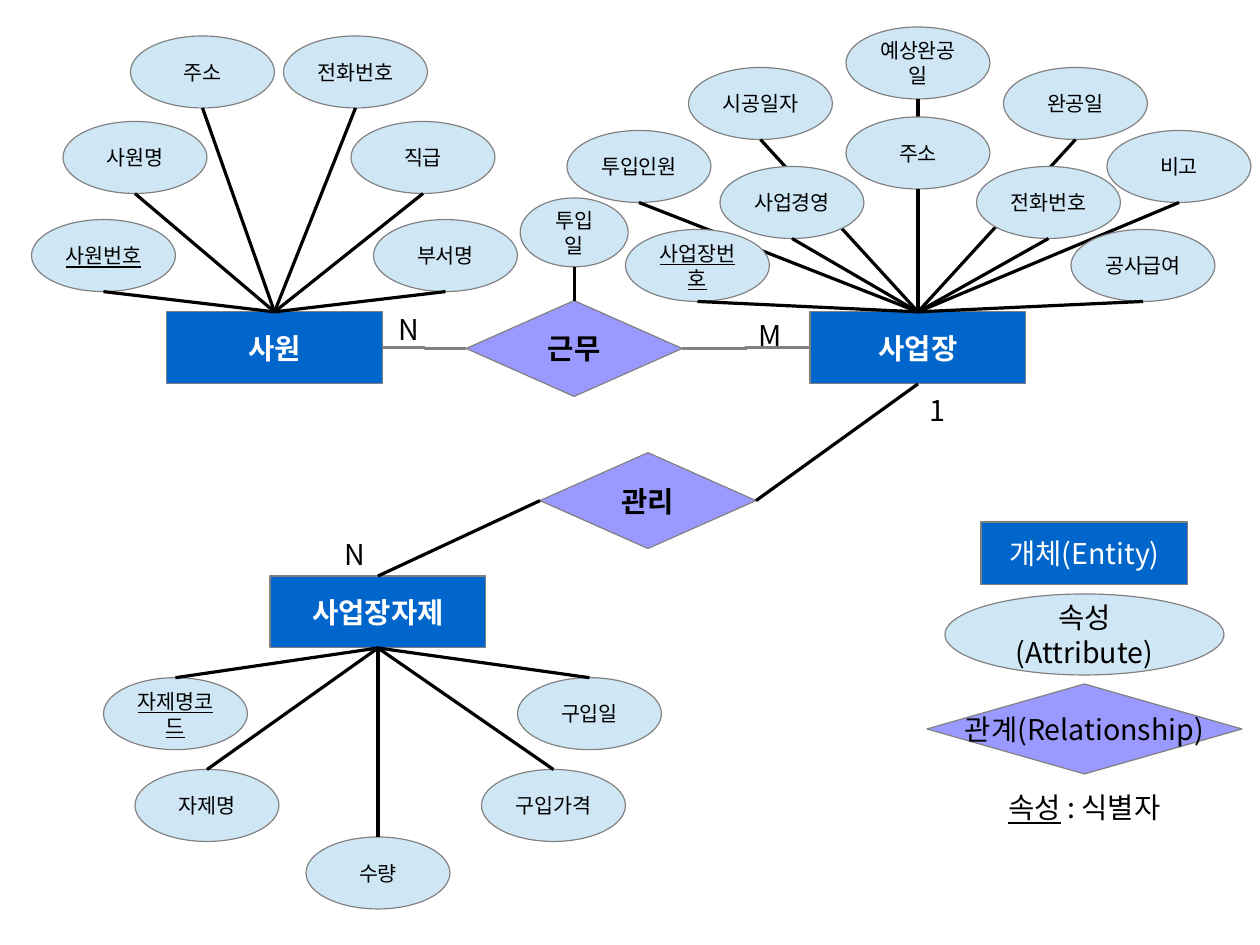
import pptx
import pptx.util
import pptx.dml.color
import pptx.enum.shapes
import pptx.enum.text
import pptx.oxml
import pptx.oxml.ns

Cm = pptx.util.Cm
Kind = pptx.enum.shapes.MSO_SHAPE
Wire = pptx.enum.shapes.MSO_CONNECTOR
Align = pptx.enum.text.PP_ALIGN
Fit = pptx.enum.text.MSO_AUTO_SIZE
Anchor = pptx.enum.text.MSO_ANCHOR

TINT = {"box": "0066CC", "oval": "CFE7F5", "gem": "9999FF",
        "edge": "808080", "ink": "000000", "pale": "FFFFFF"}
PLAIN = {"size": pptx.util.Pt(18)}
BOLD = {**PLAIN, "bold": True}
SMALL = {"size": pptx.util.Pt(13)}
KEY = {"underline": True}


class Chart:
    face = "Noto Sans CJK KR"

    def __init__(self, slide):
        self.slide = slide

    def color(self, name):
        return pptx.dml.color.RGBColor.from_string(TINT[name])

    def stroke(self, line, name):
        line.color.rgb = self.color(name)
        line.width = pptx.util.Pt(0)

    def words(self, para, text, style, ink="ink"):
        run = para.add_run()
        run.text = text
        for name, value in {"name": self.face, **style}.items():
            setattr(run.font, name, value)
        run.font.color.rgb = self.color(ink)
        east = pptx.oxml.parse_xml(
            f'<a:ea {pptx.oxml.ns.nsdecls("a")} typeface="{self.face}"/>')
        run._r.get_or_add_rPr().append(east)

    def shape(self, kind, fill, text, place, style, ink="ink", wrap=True):
        item = self.slide.shapes.add_shape(kind, *map(Cm, place))
        item.shadow.inherit = False
        item.fill.solid()
        item.fill.fore_color.rgb = self.color(fill)
        self.stroke(item.line, "edge")
        frame = item.text_frame
        frame.word_wrap = wrap
        frame.vertical_anchor = Anchor.MIDDLE
        para = frame.paragraphs[0]
        para.alignment = Align.CENTER
        self.words(para, text, style, ink)
        return item

    def box(self, text, x, y, w=4.8, h=1.6, style=BOLD):
        return self.shape(Kind.RECTANGLE, "box", text, (x, y, w, h), style, "pale")

    def gem(self, text, x, y, w=4.8, h=2.13, style=BOLD):
        return self.shape(Kind.DIAMOND, "gem", text, (x, y, w, h), style, wrap=False)

    def oval(self, text, x, y, w=3.2, h=1.6, style=SMALL):
        return self.shape(Kind.OVAL, "oval", text, (x, y, w, h), style)

    def label(self, parts, x, y, w=1.6, h=1.12, align=Align.LEFT):
        frame = self.slide.shapes.add_textbox(*map(Cm, (x, y, w, h))).text_frame
        frame.word_wrap = True
        frame.auto_size = Fit.SHAPE_TO_FIT_TEXT
        frame.paragraphs[0].alignment = align
        for text, style in parts:
            self.words(frame.paragraphs[0], text, style)

    def spot(self, item, side):
        dx, dy = {"top": (1, 0), "left": (0, 1), "right": (2, 1), "bottom": (1, 2)}[side]
        return item.left + item.width * dx // 2, item.top + item.height * dy // 2

    def link(self, one, start, two, end, kind=Wire.STRAIGHT, ink="ink"):
        wire = self.slide.shapes.add_connector(
            kind, *self.spot(one, start), *self.spot(two, end))
        self.stroke(wire.line, ink)
        none = pptx.oxml.parse_xml(f'<a:effectLst {pptx.oxml.ns.nsdecls("a")}/>')
        wire._element.spPr.append(none)

    def fan(self, hub, side, back, items):
        for text, x, y, *key in items:
            style = {**SMALL, **KEY} if key else SMALL
            leaf = self.oval(text, x, y, style=style)
            self.link(leaf, back, hub, side)


def main():
    deck = pptx.Presentation()
    deck.slide_width, deck.slide_height = Cm(28), Cm(21)
    chart = Chart(deck.slides.add_slide(deck.slide_layouts[6]))

    staff = chart.box("사원", 3.7, 6.93)
    site = chart.box("사업장", 18, 6.93)
    goods = chart.box("사업장자제", 6, 12.8)
    work = chart.gem("근무", 10.36, 6.68)
    manage = chart.gem("관리", 12, 10.06)

    chart.link(staff, "right", work, "left", Wire.ELBOW, "edge")
    chart.link(work, "right", site, "left", Wire.ELBOW, "edge")
    chart.link(site, "bottom", manage, "right")
    chart.link(manage, "left", goods, "top")

    chart.fan(staff, "top", "bottom", [
        ("사원번호", 0.7, 4.88, True), ("사원명", 1.4, 2.7), ("주소", 2.9, 0.8),
        ("전화번호", 6.3, 0.8), ("직급", 7.8, 2.7), ("부서명", 8.3, 4.88)])
    chart.fan(site, "top", "bottom", [
        ("투입인원", 12.6, 2.9), ("시공일자", 15.3, 1.5), ("예상완공일", 18.8, 0.6),
        ("완공일", 22.3, 1.5), ("비고", 24.6, 2.9),
        ("사업장번호", 13.9, 5.1, True), ("사업경영", 16, 3.7), ("주소", 18.8, 2.6),
        ("전화번호", 21.7, 3.7), ("공사급여", 23.8, 5.1)])
    chart.fan(goods, "bottom", "top", [
        ("자제명코드", 2.3, 15.06, True), ("자제명", 3, 17.1), ("수량", 6.8, 18.6),
        ("구입가격", 10.7, 17.1), ("구입일", 11.5, 15.06)])
    date = chart.oval("투입일", 11.56, 4.4, 2.4, 1.53)
    chart.link(date, "bottom", work, "top")

    for text, x, y in [("N", 8.6, 6.8), ("N", 7.4, 11.8), ("1", 20.4, 8.6), ("M", 16.6, 6.93)]:
        chart.label([(text, PLAIN)], x, y)

    chart.box("개체(Entity)", 21.8, 11.6, 4.6, 1.4, PLAIN)
    chart.oval("속성(Attribute)", 21, 13.2, 6.2, 1.8, PLAIN)
    chart.gem("관계(Relationship)", 20.6, 15.2, 7, 2, PLAIN)
    chart.label([("속성", {**PLAIN, **KEY}), (" : 식별자", PLAIN)],
                20.9, 17.43, 6.4, 1.16, Align.CENTER)

    deck.save("out.pptx")


if __name__ == "__main__":
    main()
